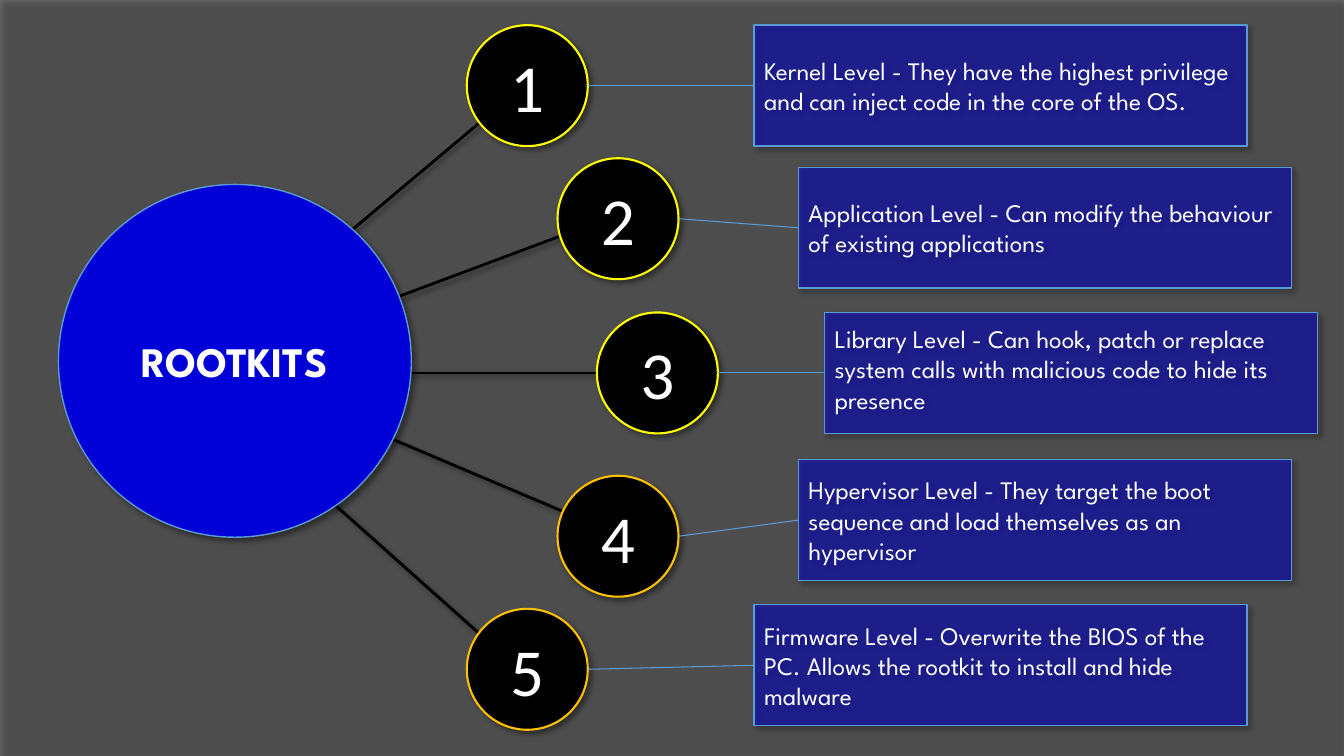
from dataclasses import dataclass

from lxml.etree import SubElement
from pptx import Presentation
from pptx.dml.color import RGBColor
from pptx.enum.shapes import MSO_CONNECTOR, MSO_SHAPE
from pptx.enum.text import MSO_ANCHOR, MSO_AUTO_SIZE, PP_ALIGN
from pptx.oxml.ns import qn
from pptx.shapes.autoshape import Shape
from pptx.shapes.base import BaseShape
from pptx.shapes.shapetree import SlideShapes
from pptx.util import Emu, Inches, Pt

ROWS = 75
SLIDE_WIDTH, SLIDE_HEIGHT = Inches(13.33), Inches(7.5)
COLUMNS = ROWS * SLIDE_WIDTH / SLIDE_HEIGHT

Point = tuple[float, float]


@dataclass(frozen=True)
class Theme:
    hub: str = "0000D7"
    ink: str = "000000"
    text: str = "FFFFFF"
    edge: str = "5B9BD5"
    yellow: str = "FFFF00"
    amber: str = "FFC000"
    heading_font: str = "League Spartan"
    number_font: str = "Calibri"
    title_size: float = 30
    number_size: float = 48
    note_size: float = 18


THEME = Theme()


@dataclass(frozen=True)
class Box:
    """A rectangle in grid cells."""
    left: float
    top: float
    width: float
    height: float

    @property
    def middle(self) -> float:
        return self.top + self.height / 2

    @property
    def right(self) -> float:
        return self.left + self.width

    def emu(self) -> tuple[Emu, Emu, Emu, Emu]:
        return cells(self.left), cells(self.top), cells(self.width), cells(self.height)


@dataclass(frozen=True)
class Level:
    disc_at: Point
    note_at: Point
    hub_end: Point
    disc_end: Point
    ring: str
    note: str
    raise_by: float = 0

    @property
    def disc(self) -> Box:
        return Box(*self.disc_at, 12, 12)

    @property
    def note_box(self) -> Box:
        return Box(*self.note_at, 48.9, 12)


HUB = Box(5.8, 18.3, 35, 35)
LEVELS = [
    Level((46.3, 2.5), (74.8, 2.5), (32.9, 24.5), (48.6, 11.3), THEME.yellow,
          "Kernel Level - They have the highest privilege and can inject code in the core of the OS."),
    Level((55.3, 15.7), (79.2, 16.6), (38.5, 29.8), (56.7, 23), THEME.yellow,
          "Application Level - Can modify the behaviour of existing applications"),
    Level((59.2, 31), (81.8, 31), (38.5, 37), (61.3, 37), THEME.yellow,
          "Library Level - Can hook, patch or replace system calls with malicious code to hide its presence",
          raise_by=0.4),
    Level((55.3, 47.2), (79.2, 45.6), (36.4, 42.5), (56.7, 51.1), THEME.amber,
          "Hypervisor Level - They target the boot sequence and load themselves as an hypervisor"),
    Level((46.3, 60.4), (74.8, 60), (32, 49), (48.6, 63.8), THEME.amber,
          "Firmware Level - Overwrite the BIOS of the PC. Allows the rootkit to install and hide malware"),
]


def cells(count: float) -> Emu:
    return Emu(round(count * SLIDE_HEIGHT / ROWS))


def set_shadow(shape: BaseShape, visible: bool = True) -> None:
    """Replace the theme shadow; call after the fill and line are set."""
    effects = SubElement(shape._element.spPr, qn("a:effectLst"))
    if visible:
        outer = SubElement(effects, qn("a:outerShdw"), blurRad=str(Pt(4)),
                           dist=str(Pt(3)), dir=str(45 * 60000),
                           algn="tl", rotWithShape="0")
        color = SubElement(outer, qn("a:srgbClr"), val=THEME.ink)
        SubElement(color, qn("a:alpha"), val="40000")


def add_panel(shapes: SlideShapes, kind: MSO_SHAPE, box: Box, fill: str,
              edge: str | None = None, edge_width: float = 1, opacity: int = 100) -> Shape:
    panel = shapes.add_shape(kind, *box.emu())
    panel.fill.solid()
    panel.fill.fore_color.rgb = RGBColor.from_string(fill)
    if opacity < 100:
        color = panel._element.spPr.find(qn("a:solidFill")).find(qn("a:srgbClr"))
        SubElement(color, qn("a:alpha"), val=str(opacity * 1000))
    if edge:
        panel.line.color.rgb = RGBColor.from_string(edge)
        panel.line.width = Pt(edge_width)
    else:
        panel.line.fill.background()
    set_shadow(panel)
    return panel


def add_line(shapes: SlideShapes, start: Point, end: Point, color: str,
             width: float, shadow: bool) -> None:
    line = shapes.add_connector(MSO_CONNECTOR.STRAIGHT, *map(cells, start + end))
    line.line.color.rgb = RGBColor.from_string(color)
    line.line.width = Pt(width)
    set_shadow(line, shadow)


def write(shape: Shape, words: str, size: float, font: str,
          align: PP_ALIGN = PP_ALIGN.CENTER, bold: bool = False) -> None:
    frame = shape.text_frame
    frame.text = words
    frame.word_wrap = True
    frame.auto_size = MSO_AUTO_SIZE.NONE
    frame.vertical_anchor = MSO_ANCHOR.MIDDLE
    paragraph = frame.paragraphs[0]
    paragraph.alignment = align
    paragraph.line_spacing = 1.0
    style = paragraph.runs[0].font
    style.size, style.name, style.bold = Pt(size), font, bold
    style.color.rgb = RGBColor.from_string(THEME.text)


def main() -> None:
    deck = Presentation()
    deck.slide_width, deck.slide_height = SLIDE_WIDTH, SLIDE_HEIGHT
    slide = deck.slides.add_slide(deck.slide_layouts[5])
    shapes = slide.shapes

    add_panel(shapes, MSO_SHAPE.RECTANGLE, Box(0, 0, COLUMNS, ROWS), THEME.ink, opacity=60)
    for level in LEVELS:
        add_line(shapes, level.disc_end, level.hub_end, THEME.ink, 2, shadow=True)

    hub = add_panel(shapes, MSO_SHAPE.OVAL, HUB, THEME.hub, THEME.edge)
    title = shapes.title
    title.left, title.top, title.width, title.height = HUB.emu()
    write(title, "ROOTKITS", THEME.title_size, THEME.heading_font, bold=True)
    hub._element.addnext(title._element)

    for number, level in enumerate(LEVELS, start=1):
        disc = add_panel(shapes, MSO_SHAPE.OVAL, level.disc, THEME.ink, level.ring, 1.5)
        write(disc, str(number), THEME.number_size, THEME.number_font)
        note = add_panel(shapes, MSO_SHAPE.RECTANGLE, level.note_box, THEME.hub,
                         THEME.edge, opacity=50)
        write(note, level.note, THEME.note_size, THEME.heading_font, PP_ALIGN.LEFT)
        note.text_frame.margin_bottom += cells(2 * level.raise_by)
        add_line(shapes, (level.disc.right, level.disc.middle),
                 (level.note_box.left, level.note_box.middle), THEME.edge, 0.75, shadow=False)

    deck.save("out.pptx")


if __name__ == "__main__":
    main()
